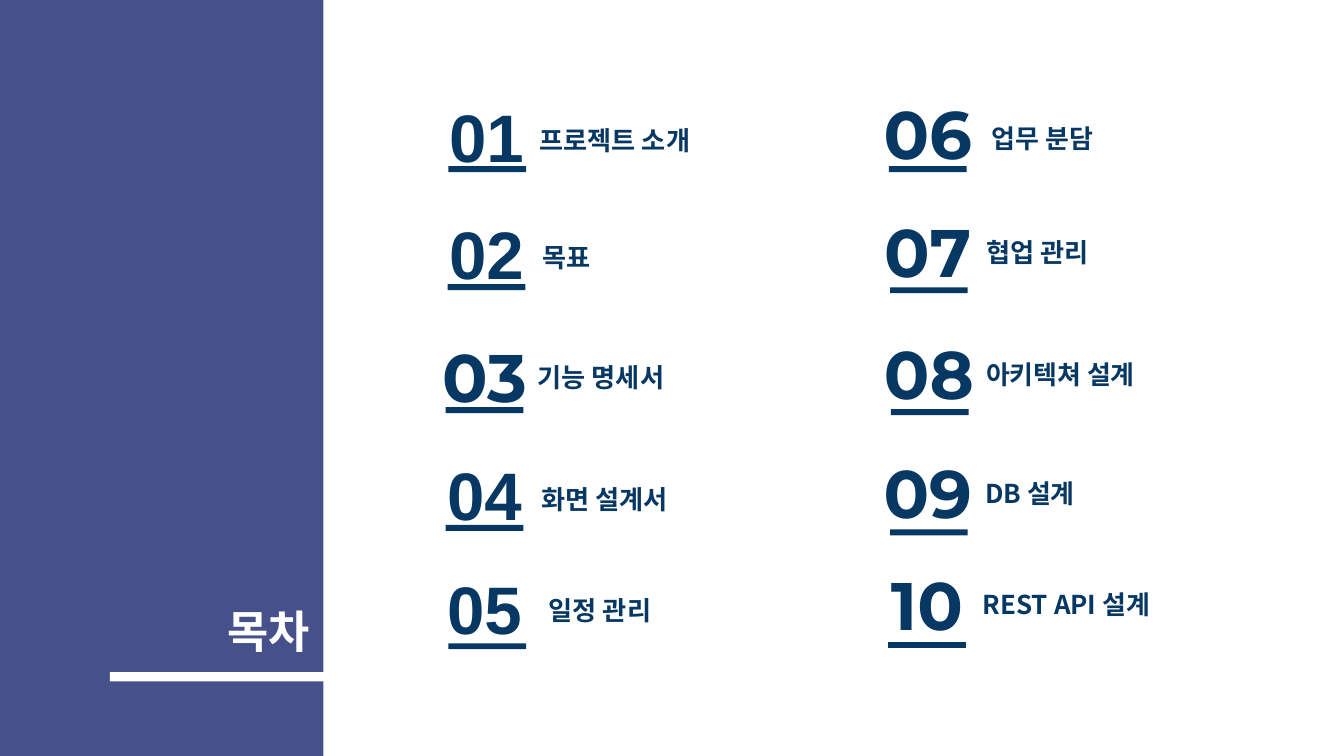
from lxml.etree import SubElement
from pptx import Presentation
from pptx.dml.color import RGBColor
from pptx.enum.shapes import MSO_SHAPE
from pptx.enum.text import MSO_ANCHOR, MSO_AUTO_SIZE, PP_ALIGN
from pptx.oxml.ns import qn
from pptx.util import Cm, Pt

INDIGO = RGBColor(0x46, 0x51, 0x8C)
NAVY = RGBColor(0x07, 0x37, 0x63)
WHITE = RGBColor(0xFF, 0xFF, 0xFF)
KOREAN = "Noto Sans CJK KR"

# Content; places are (left, top) in cm
TITLE = "목차"
# number, its font, its place, label, label font and size, label place, label width, bar place
ENTRIES = [
    ("01", "Arial", (10.72, 2.46), "프로젝트 소개", "Arial", 18.7, (13.26, 2.64), 5.72, (11.3, 4.19)),
    ("02", "Arial", (10.72, 5.41), "목표", "Arial", 18.7, (13.34, 5.59), 4.8, (11.28, 7.16)),
    ("03", "Montserrat", (10.67, 8.51), "기능 명세서", KOREAN, 18.7, (13.21, 8.61), 4.8, (11.23, 10.26)),
    ("04", "Arial", (10.67, 11.48), "화면 설계서", "Arial", 18.7, (13.31, 11.68), 4.72, (11.23, 13.23)),
    ("05", "Arial", (10.67, 14.35), "일정 관리", "Arial", 18.7, (13.49, 14.48), 3.68, (11.3, 16.21)),
    ("06", "Montserrat", (21.84, 2.39), "업무 분담", KOREAN, 18.5, (24.66, 2.57), 3.84, (22.4, 4.19)),
    ("07", "Montserrat", (21.84, 5.36), "협업 관리", KOREAN, 18.7, (24.51, 5.46), 3.58, (22.43, 7.24)),
    ("08", "Montserrat", (21.87, 8.43), "아키텍쳐 설계", KOREAN, 18.5, (24.51, 8.53), 5.97, (22.45, 10.31)),
    ("09", "Montserrat", (21.84, 11.43), "DB 설계", KOREAN, 18.5, (24.49, 11.53), 6.15, (22.43, 13.34)),
    ("10", "Montserrat", (21.82, 14.27), "REST API 설계", KOREAN, 18.5, (24.43, 14.33), 6.15, (22.38, 16.18)),
]
NUMBER_SIZE = (3.08, 1.9)
LABEL_HEIGHT = 1.8
BAR_SIZE = (1.96, 0.15)


def add_bar(page, place, size, color):
    bar = page.shapes.add_shape(MSO_SHAPE.RECTANGLE, *map(Cm, place + size))
    bar.shadow.inherit = False
    bar.fill.solid()
    bar.fill.fore_color.rgb = color
    bar.line.fill.background()
    return bar


def write(box, text, font, size, color, align, anchor=MSO_ANCHOR.MIDDLE):
    frame = box.text_frame
    frame_format = {"word_wrap": True, "auto_size": MSO_AUTO_SIZE.NONE, "vertical_anchor": anchor}
    frame_format.update({f"margin_{side}": Cm(0.34) for side in ("left", "top", "right", "bottom")})
    for name, value in frame_format.items():
        setattr(frame, name, value)
    para = frame.paragraphs[0]
    para.alignment = align
    span = para.add_run()
    span.text = text
    for name, value in {"name": font, "size": Pt(size), "bold": True}.items():
        setattr(span.font, name, value)
    span.font.color.rgb = color
    # Hangul takes the East Asian typeface
    SubElement(span.font._element, qn("a:ea")).set("typeface", KOREAN)


def add_text(page, place, size, *text_format):
    write(page.shapes.add_textbox(*map(Cm, place + size)), *text_format)


def main():
    deck = Presentation()
    deck.slide_width, deck.slide_height = Cm(33.87), Cm(19.05)
    page = deck.slides.add_slide(deck.slide_layouts[5])

    # Side panel behind the title, with the white rule below it
    title = page.shapes.title
    panel = add_bar(page, (0, 0), (8.15, 19.05), INDIGO)
    title.element.addprevious(panel.element)
    title_place = {"left": 2.29, "top": 12.9, "width": 5.87, "height": 4.01}
    for name, value in title_place.items():
        setattr(title, name, Cm(value))
    write(title, TITLE, "Arial", 32, WHITE, PP_ALIGN.RIGHT, MSO_ANCHOR.BOTTOM)
    add_bar(page, (2.77, 16.94), (7.44, 0.23), WHITE)

    # Numbered entries
    for number, number_font, number_at, label, label_font, label_size, label_at, width, bar_at in ENTRIES:
        add_text(page, number_at, NUMBER_SIZE, number, number_font, 48, NAVY, PP_ALIGN.CENTER)
        add_text(page, label_at, (width, LABEL_HEIGHT), label, label_font, label_size, NAVY, PP_ALIGN.LEFT)
        add_bar(page, bar_at, BAR_SIZE, NAVY)

    deck.save("out.pptx")


if __name__ == "__main__":
    main()
